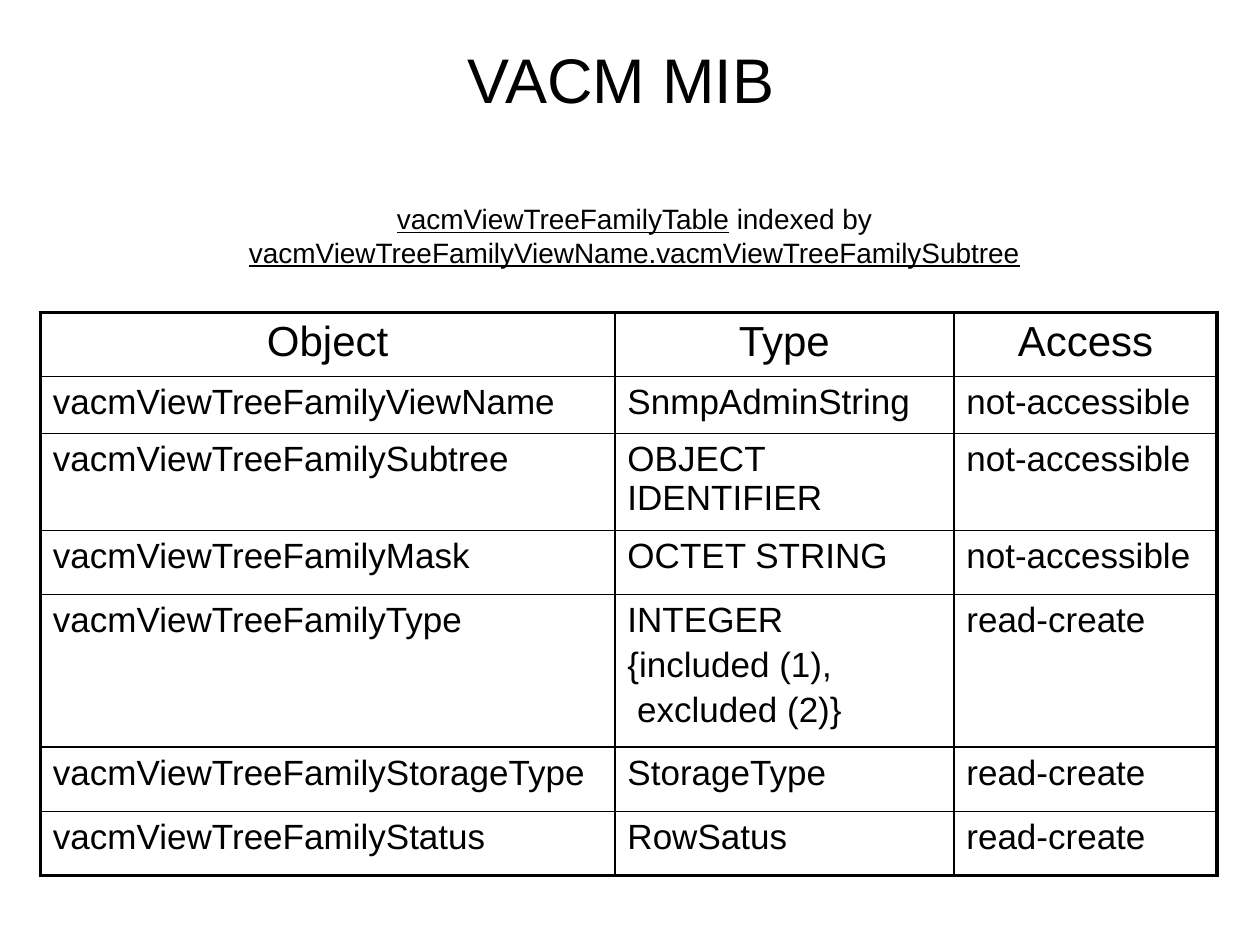
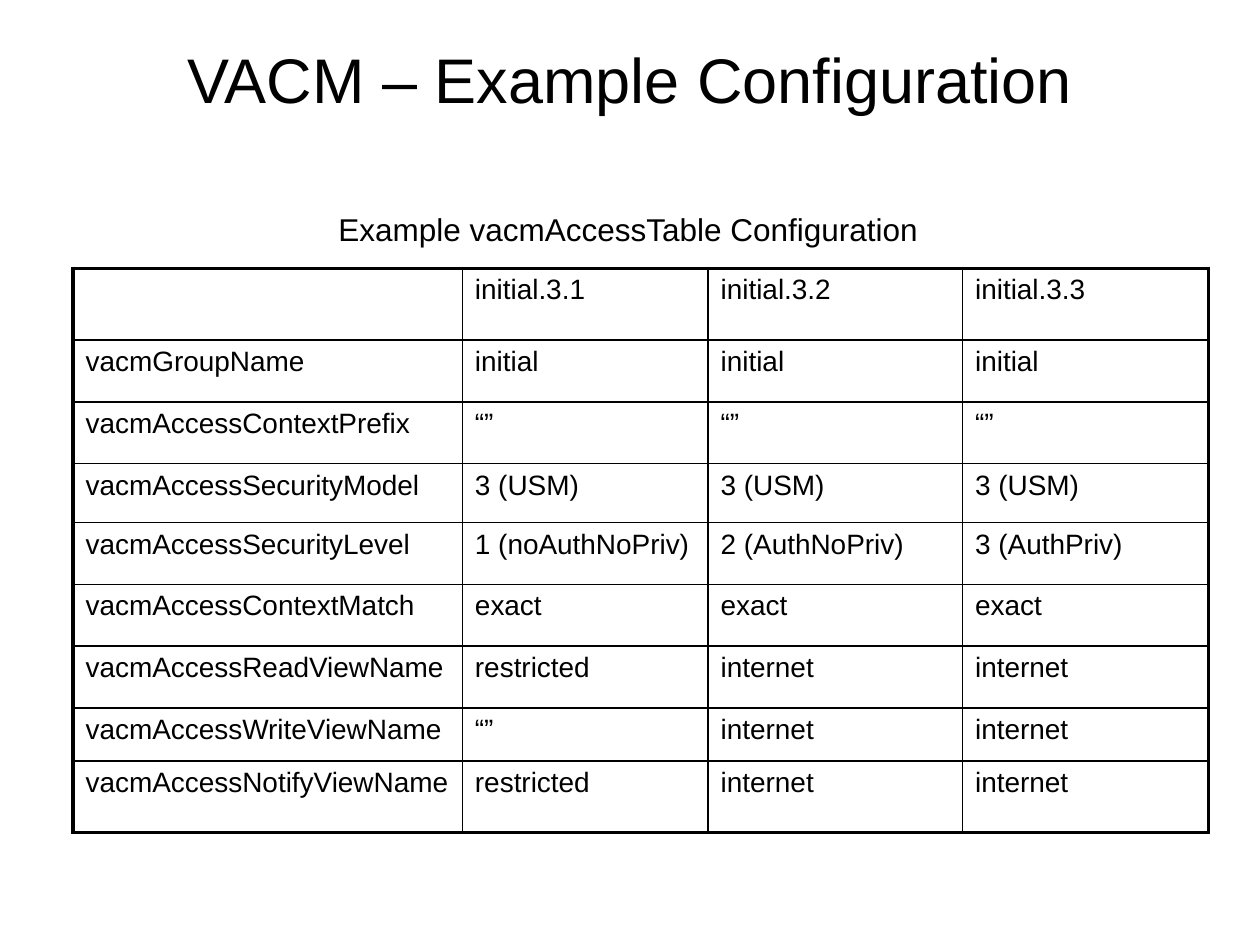
from dataclasses import dataclass

from lxml import etree
from pptx import Presentation
from pptx.dml.color import RGBColor
from pptx.enum import text
from pptx.oxml import ns
from pptx.util import Inches, Pt


@dataclass(frozen=True)
class Theme:
    font: str = "Arial"
    ink: str = "000000"
    title: float = 36
    heading: float = 24
    body: float = 20
    caption: float = 18
    small: float = 16
    paragraph_gap: float = 3.5
    frame: float = 2.25
    rule: float = 1


THEME = Theme()
TITLE_BOX = (0.5, 0, 9, 1.25)
CENTER = text.PP_ALIGN.CENTER
LEFT = text.PP_ALIGN.LEFT

MIB_ROWS = [
    ("Object", "Type", "Access"),
    ("vacmViewTreeFamilyViewName", "SnmpAdminString", "not-accessible"),
    ("vacmViewTreeFamilySubtree", "OBJECT IDENTIFIER", "not-accessible"),
    ("vacmViewTreeFamilyMask", "OCTET STRING", "not-accessible"),
    ("vacmViewTreeFamilyType", "INTEGER\n{included (1),\n excluded (2)}", "read-create"),
    ("vacmViewTreeFamilyStorageType", "StorageType", "read-create"),
    ("vacmViewTreeFamilyStatus", "RowSatus", "read-create"),
]
ACCESS_ROWS = [
    ("", "initial.3.1", "initial.3.2", "initial.3.3"),
    ("vacmGroupName", "initial", "initial", "initial"),
    ("vacmAccessContextPrefix", "“”", "“”", "“”"),
    ("vacmAccessSecurityModel", "3 (USM)", "3 (USM)", "3 (USM)"),
    ("vacmAccessSecurityLevel", "1 (noAuthNoPriv)", "2 (AuthNoPriv)", "3 (AuthPriv)"),
    ("vacmAccessContextMatch", "exact", "exact", "exact"),
    ("vacmAccessReadViewName", "restricted", "internet", "internet"),
    ("vacmAccessWriteViewName", "“”", "internet", "internet"),
    ("vacmAccessNotifyViewName", "restricted", "internet", "internet"),
]


def add_run(paragraph, words, size, underline=False):
    run = paragraph.add_run()
    run.text = words
    run.font.name = THEME.font
    run.font.size = Pt(size)
    run.font.color.rgb = RGBColor.from_string(THEME.ink)
    if underline:
        run.font.underline = True


def add_text(slide, box, lines, size, anchor=text.MSO_ANCHOR.TOP, wrap=False):
    frame = slide.shapes.add_textbox(*map(Inches, box)).text_frame
    frame.word_wrap = wrap
    frame.vertical_anchor = anchor
    for index, line in enumerate(lines):
        paragraph = frame.add_paragraph() if index else frame.paragraphs[0]
        paragraph.alignment = CENTER
        for words, underline in line:
            add_run(paragraph, words, size, underline)


def add_title(slide, words):
    add_text(slide, TITLE_BOX, [[(words, False)]], THEME.title,
             text.MSO_ANCHOR.MIDDLE, wrap=True)


def set_borders(cell, on_frame):
    properties = cell._tc.get_or_add_tcPr()
    for side, outer in zip(("lnL", "lnR", "lnT", "lnB"), on_frame):
        width = THEME.frame if outer else THEME.rule
        line = etree.SubElement(properties, ns.qn(f"a:{side}"), w=str(Pt(width)))
        fill = etree.SubElement(line, ns.qn("a:solidFill"))
        etree.SubElement(fill, ns.qn("a:srgbClr"), val=THEME.ink)
    cell.fill.background()


def fill_cell(cell, words, size, align):
    for index, line in enumerate(words.split("\n") if words else []):
        frame = cell.text_frame
        paragraph = frame.add_paragraph() if index else frame.paragraphs[0]
        paragraph.alignment = align
        if index:
            paragraph.space_before = Pt(THEME.paragraph_gap)
        add_run(paragraph, line, size)


def add_grid(slide, corner, widths, heights, rows, size, heading_size, heading_align):
    box = (*corner, sum(widths), sum(heights))
    grid = slide.shapes.add_table(len(rows), len(widths), *map(Inches, box)).table
    grid.first_row = grid.horz_banding = False
    for column, width in zip(grid.columns, widths):
        column.width = Inches(width)
    last_row, last_column = len(rows) - 1, len(widths) - 1
    for r, (entries, height) in enumerate(zip(rows, heights)):
        grid.rows[r].height = Inches(height)
        for c, words in enumerate(entries):
            cell = grid.cell(r, c)
            set_borders(cell, (c == 0, c == last_column, r == 0, r == last_row))
            if r == 0:
                fill_cell(cell, words, heading_size, heading_align)
            else:
                fill_cell(cell, words, size, LEFT)


def build_mib_slide(slide):
    add_title(slide, "VACM MIB ")
    add_text(slide, (1.86, 1.55, 6.35, 0.64), [
        [("vacmViewTreeFamilyTable", True), (" indexed by", False)],
        [("vacmViewTreeFamilyViewName.vacmViewTreeFamilySubtree", True)],
    ], THEME.small)
    add_grid(slide, (0.32, 2.48), (4.56, 2.69, 2.09),
             (0.51, 0.45, 0.77, 0.51, 1.21, 0.51, 0.51),
             MIB_ROWS, THEME.body, THEME.heading, CENTER)


def build_access_slide(slide):
    add_title(slide, "VACM – Example Configuration")
    add_text(slide, (2.57, 1.62, 4.9, 0.4),
             [[("Example vacmAccessTable Configuration ", False)]], THEME.caption)
    add_grid(slide, (0.58, 2.13), (3.09, 1.95, 2.02, 1.95),
             (0.57, 0.49, 0.49, 0.47, 0.49, 0.49, 0.49, 0.42, 0.57),
             ACCESS_ROWS, THEME.small, THEME.small, LEFT)


def main():
    deck = Presentation()
    deck.slide_width, deck.slide_height = Inches(10), Inches(7.5)
    for build in (build_mib_slide, build_access_slide):
        build(deck.slides.add_slide(deck.slide_layouts[6]))
    deck.save("out.pptx")


if __name__ == "__main__":
    main()
